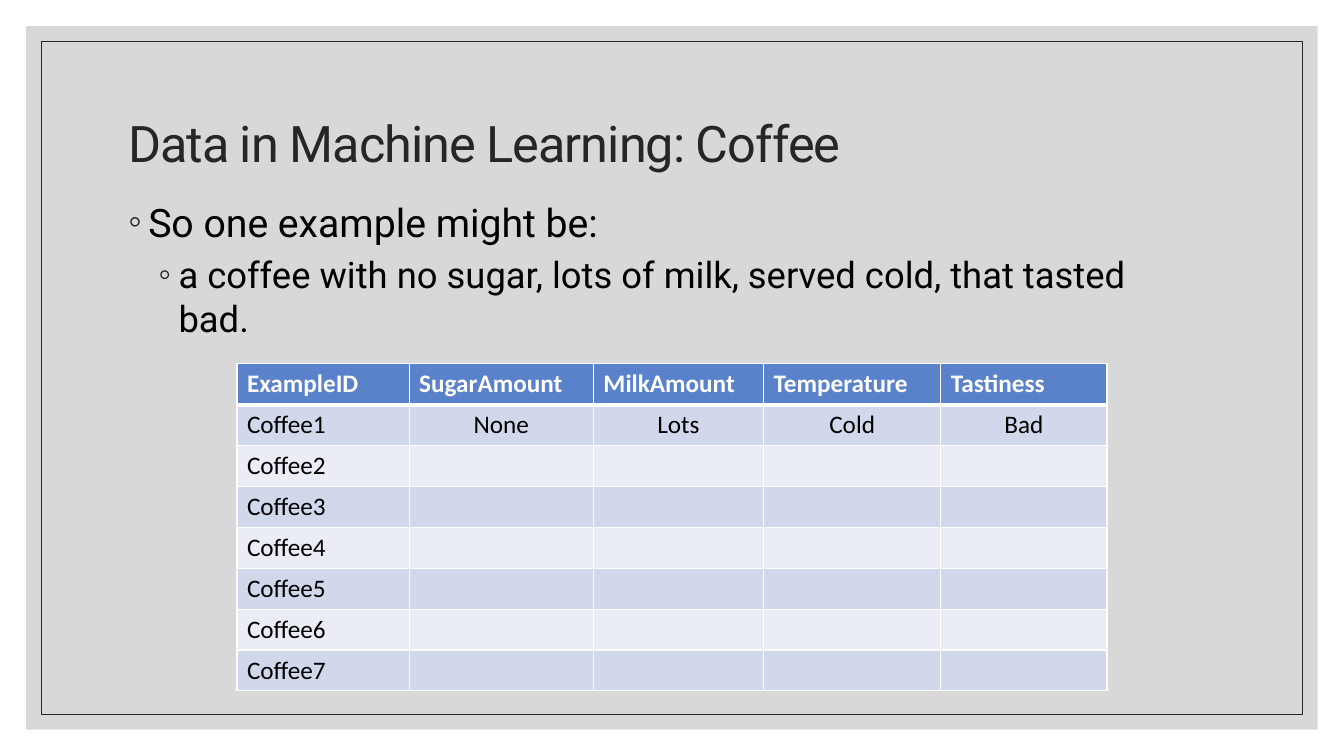
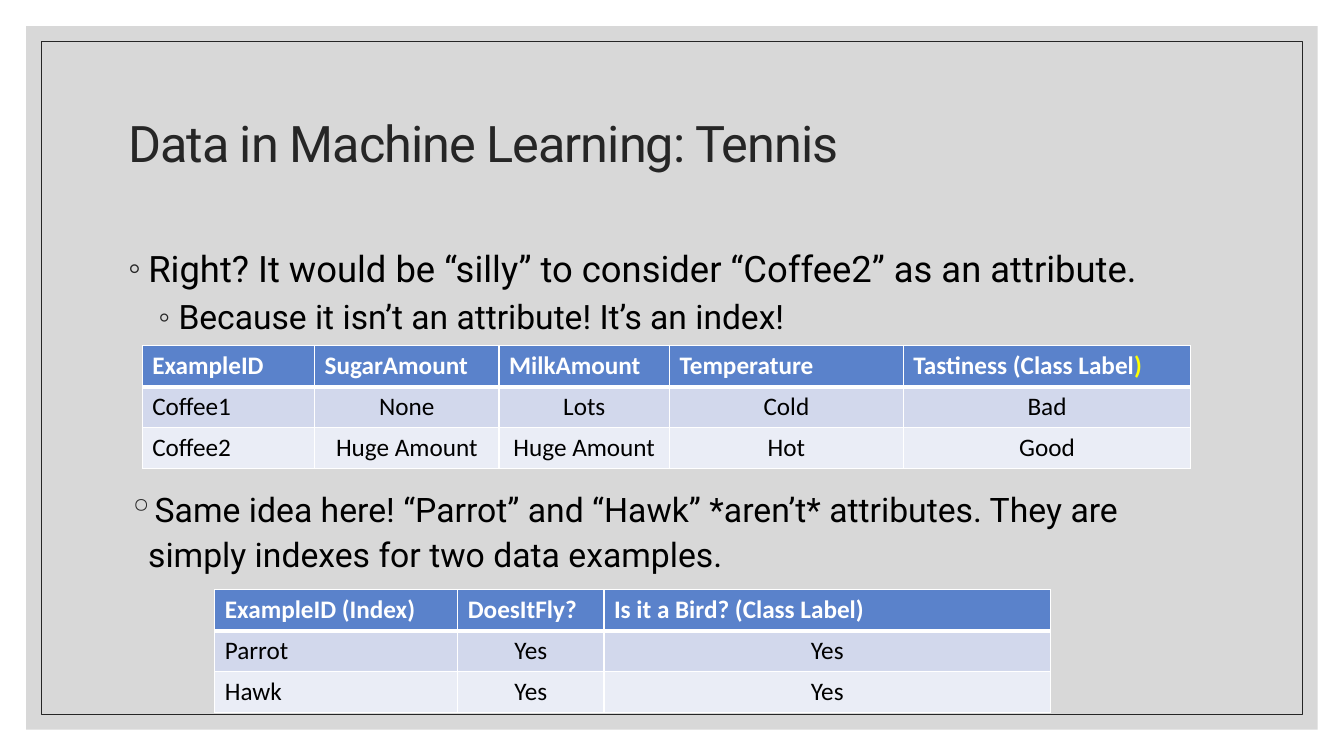
from lxml import etree
from pptx import Presentation
from pptx import util as u
from pptx.dml.color import RGBColor
from pptx.enum import shapes, text
from pptx.oxml import ns

SLIDE_WIDTH, SLIDE_HEIGHT = u.Inches(13.33), u.Inches(7.5)

WHITE = RGBColor(0xFF, 0xFF, 0xFF)
BLACK = RGBColor(0x00, 0x00, 0x00)
INK = RGBColor(0x26, 0x26, 0x26)
PANEL = RGBColor(0xBF, 0xBF, 0xBF)
HEADER = RGBColor(0x5A, 0x82, 0xCB)
BANDS = (RGBColor(0xD2, 0xD8, 0xEC), RGBColor(0xEA, 0xED, 0xF6))
YELLOW = RGBColor(0xFF, 0xFF, 0x00)

TEXT_FONT, TABLE_FONT = "Roboto", "Calibri"
TEXT_LEFT, TEXT_WIDTH = 8.78, 81.62
TITLE_BOX = (TEXT_LEFT, 9.33, 82.52, 20)
COFFEE_COLUMNS = ["ExampleID", "SugarAmount", "MilkAmount", "Temperature"]
FIRST_COFFEE = ["Coffee1", "None", "Lots", "Cold", "Bad"]


def percent_box(left, top, width, height):
    """Turn percentages of the slide into lengths."""
    return (int(SLIDE_WIDTH * left / 100), int(SLIDE_HEIGHT * top / 100),
            int(SLIDE_WIDTH * width / 100), int(SLIDE_HEIGHT * height / 100))


def place(shape, box):
    shape.left, shape.top, shape.width, shape.height = percent_box(*box)


def add_xml(parent, tag, **attributes):
    return etree.SubElement(parent, ns.qn(tag), attributes)


def write(paragraph, content, *, size, font=TEXT_FONT, color=BLACK, bold=False,
          align=text.PP_ALIGN.LEFT, line_spacing=1.0, space_before=0, tracking=None):
    """Fill a paragraph from a string or a list of (string, colour) runs."""
    paragraph.alignment = align
    paragraph.line_spacing = line_spacing
    paragraph.space_before = u.Pt(space_before)
    runs = [(content, color)] if isinstance(content, str) else content
    for words, run_color in runs:
        run = paragraph.add_run()
        run.text = words
        run.font.name, run.font.size, run.font.bold = font, u.Pt(size), bold
        run.font.color.rgb = run_color
        if tracking is not None:
            run.font._element.set("spc", str(tracking))


def add_bullet(paragraph, level):
    paragraph.level = level
    properties = paragraph._p.get_or_add_pPr()
    properties.set("marL", str(u.Inches(0.2 + 0.3 * level)))
    properties.set("indent", str(-u.Inches(0.2)))
    add_xml(add_xml(properties, "a:buClr"), "a:srgbClr", val=str(INK))
    add_xml(properties, "a:buChar", char="◦")


def fill_list(shape, box, items, line_spacing=1.2):
    """Write (words, level, size) items as bullets into the box."""
    place(shape, box)
    frame = shape.text_frame
    frame.word_wrap = True
    frame.auto_size = text.MSO_AUTO_SIZE.NONE
    frame.vertical_anchor = text.MSO_ANCHOR.TOP
    for index, (words, level, size) in enumerate(items):
        paragraph = frame.add_paragraph() if index else frame.paragraphs[0]
        add_bullet(paragraph, level)
        write(paragraph, words, size=size,
              line_spacing=1.0 if level else line_spacing,
              space_before=5 if index else 0)


def add_borders(cell, row):
    """Draw white cell edges, with a thick one under the header."""
    properties = cell._tc.get_or_add_tcPr()
    widths = {"L": 1, "R": 1, "T": 3 if row == 1 else 1, "B": 1 if row else 3}
    for side, width in widths.items():
        line = add_xml(properties, f"a:ln{side}", w=str(u.Pt(width)))
        add_xml(add_xml(line, "a:solidFill"), "a:srgbClr", val=str(WHITE))


def add_data_table(slide, box, weights, rows):
    """Divide the box into equal rows and columns of the given weights."""
    left, top, width, height = percent_box(*box)
    table = slide.shapes.add_table(
        len(rows), len(weights), left, top, width, height).table
    for column, weight in zip(table.columns, weights):
        column.width = int(width * weight / sum(weights))
    for row, values in enumerate(rows):
        table.rows[row].height = height // len(rows)
        for column in range(len(weights)):
            cell = table.cell(row, column)
            add_borders(cell, row)
            cell.fill.solid()
            cell.fill.fore_color.rgb = BANDS[(row - 1) % 2] if row else HEADER
            if column < len(values):
                centred = row and column
                write(cell.text_frame.paragraphs[0], values[column],
                      size=18, font=TABLE_FONT, bold=not row,
                      color=BLACK if row else WHITE,
                      align=text.PP_ALIGN.CENTER if centred else text.PP_ALIGN.LEFT)


def add_frame(slide, layout):
    """Draw the grey panel and its thin outline, and move them to the layout."""
    for position, (across, down) in enumerate([(1.95, 3.47), (3.08, 5.47)]):
        box = percent_box(across, down, 100 - 2 * across, 100 - 2 * down)
        shape = slide.shapes.add_shape(shapes.MSO_SHAPE.RECTANGLE, *box)
        shape.shadow.inherit = False
        if position == 0:
            shape.fill.solid()
            shape.fill.fore_color.rgb = PANEL
            color = shape.fill._xPr.find(".//" + ns.qn("a:srgbClr"))
            add_xml(color, "a:alpha", val="60000")
            shape.line.fill.background()
        else:
            shape.fill.background()
            shape.line.color.rgb = INK
            shape.line.width = u.Pt(0.5)
        layout.shapes._spTree.insert(2 + position, shape._element)


def add_titled_slide(presentation, layout, title):
    slide = presentation.slides.add_slide(layout)
    place(slide.shapes.title, TITLE_BOX)
    frame = slide.shapes.title.text_frame
    frame.word_wrap = True
    frame.auto_size = text.MSO_AUTO_SIZE.NONE
    frame.vertical_anchor = text.MSO_ANCHOR.MIDDLE
    write(frame.paragraphs[0], title, size=36, color=INK,
          line_spacing=0.9, tracking=-70)
    return slide


def add_coffee_slide(presentation, layout):
    slide = add_titled_slide(presentation, layout, "Data in Machine Learning: Coffee")
    fill_list(slide.placeholders[1], (TEXT_LEFT, 24.27, TEXT_WIDTH, 56.13), [
        ("So one example might be:", 0, 28),
        ("a coffee with no sugar, lots of milk, served cold, that tasted bad.", 1, 26),
    ])
    unfilled = [[f"Coffee{number}"] for number in range(2, 8)]
    add_data_table(slide, (17.63, 48.13, 64.74, 43.2), (171, 183, 169, 176, 165),
                   [COFFEE_COLUMNS + ["Tastiness"], FIRST_COFFEE] + unfilled)
    return slide


def add_tennis_slide(presentation, layout):
    slide = add_titled_slide(presentation, layout, "Data in Machine Learning: Tennis")
    fill_list(slide.placeholders[1], (TEXT_LEFT, 30.67, TEXT_WIDTH, 17.6), [
        ("Right? It would be “silly” to consider “Coffee2” as an attribute.", 0, 26),
        ("Because it isn’t an attribute! It’s an index!", 1, 24),
    ])
    add_data_table(slide, (15.98, 78, 62.19, 16.27), (241, 145, 443), [
        ["ExampleID (Index)", "DoesItFly?", "Is it a Bird? (Class Label)"],
        ["Parrot", "Yes", "Yes"],
        ["Hawk", "Yes", "Yes"],
    ])
    class_label = [("Tastiness (Class Label", WHITE), (")", YELLOW)]
    add_data_table(slide, (10.58, 45.73, 78.02, 16.27), (171, 183, 169, 232, 285), [
        COFFEE_COLUMNS + [class_label],
        FIRST_COFFEE,
        ["Coffee2", "Huge Amount", "Huge Amount", "Hot", "Good"],
    ])
    box = (TEXT_LEFT, 63.47, TEXT_WIDTH, 13.73)
    fill_list(slide.shapes.add_textbox(*percent_box(*box)), box, [
        ("Same idea here! “Parrot” and “Hawk” *aren’t* attributes. "
         "They are simply indexes for two data examples.", 0, 24.1),
    ], line_spacing=1.1)


def main():
    presentation = Presentation()
    presentation.slide_width, presentation.slide_height = SLIDE_WIDTH, SLIDE_HEIGHT
    layout = presentation.slide_layouts[1]
    coffee_slide = add_coffee_slide(presentation, layout)
    add_frame(coffee_slide, layout)
    add_tennis_slide(presentation, layout)
    presentation.save("out.pptx")


if __name__ == "__main__":
    main()
